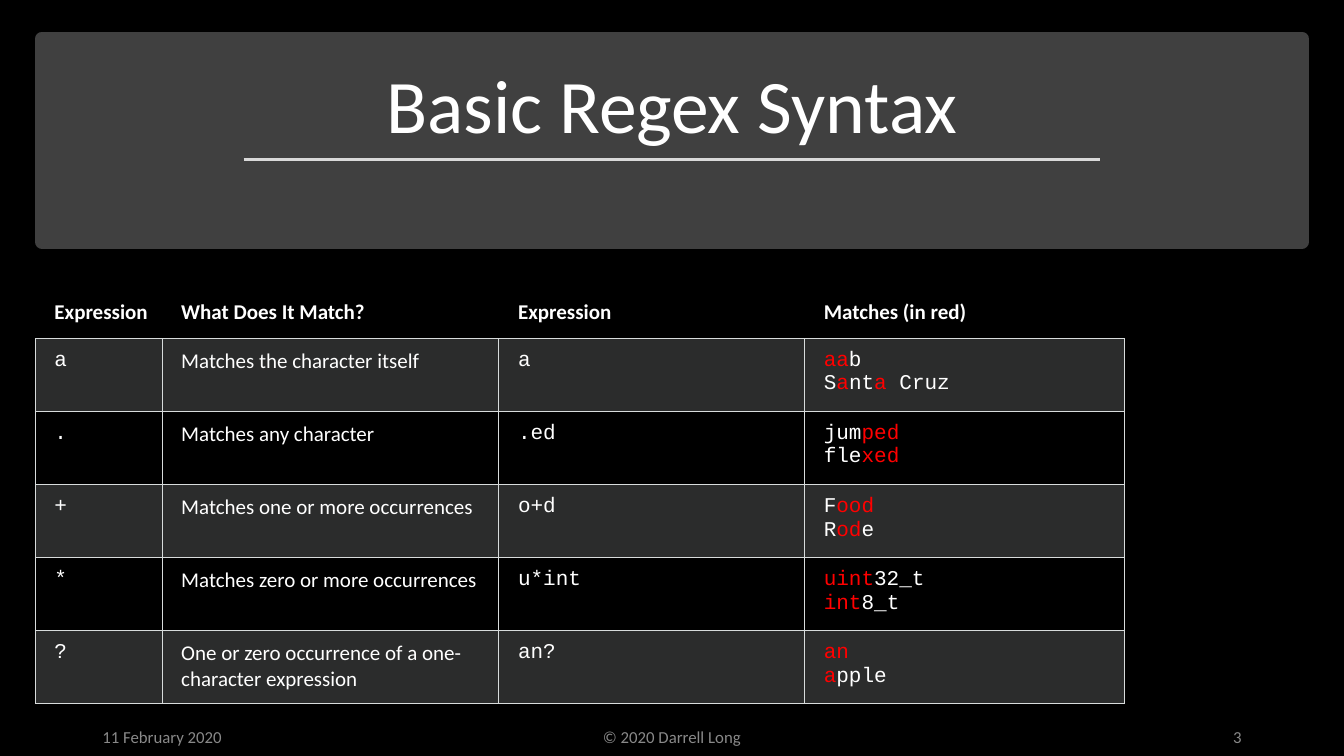
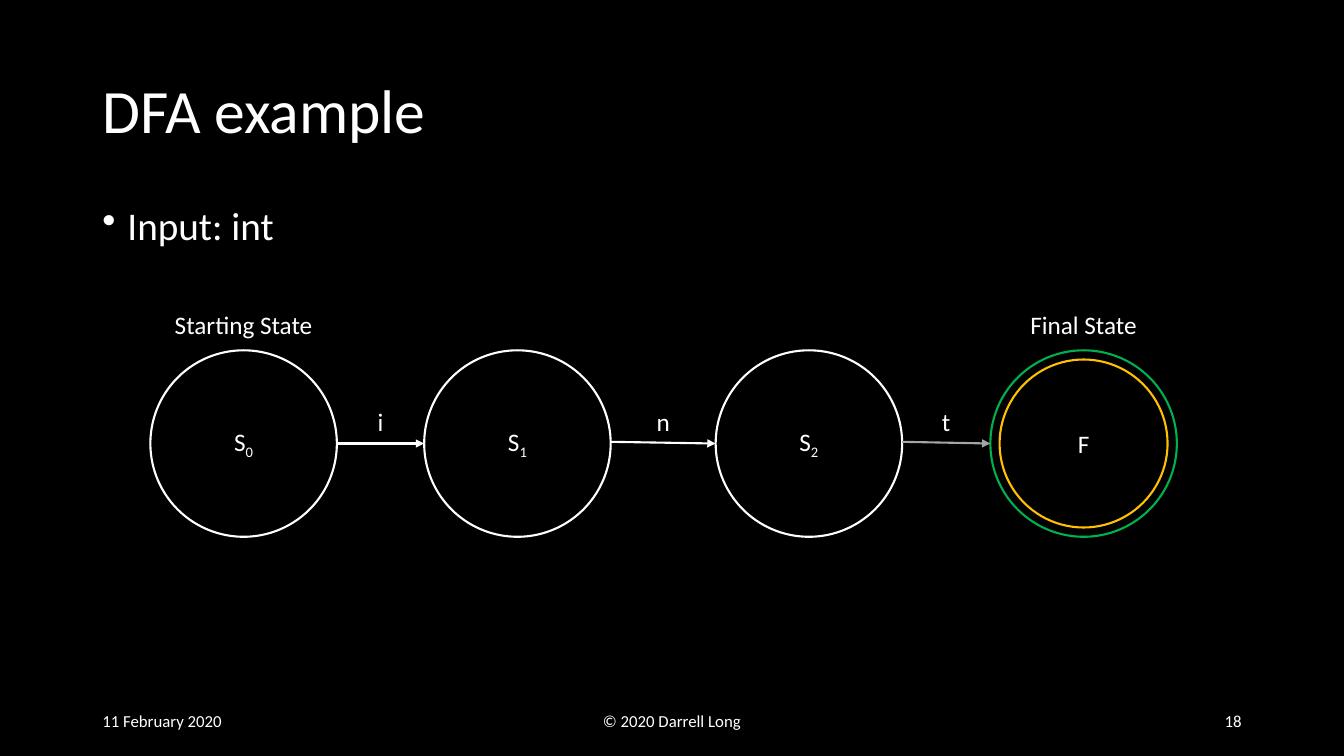
import dataclasses
import itertools

import lxml.etree
import pptx
import pptx.dml.color
import pptx.enum.shapes
import pptx.enum.text
import pptx.oxml.ns
import pptx.util

# Page grid: 160 columns by 90 rows of square units, twelve to the inch
UNITS_PER_INCH = 12
FONT, CODE_FONT = "Calibri", "Courier New"
BLACK, WHITE, RED = "000000", "FFFFFF", "FF0000"
BAND, RULE, BORDER, STRIPE = "404040", "D9D9D9", "D8DCDC", "D8DEDC"
FOOTER_GREY, ARROW_GREY = "898989", "A5A5A5"
GREEN, GOLD = "00B050", "FFC000"
LEFT = pptx.enum.text.PP_ALIGN.LEFT
CENTER = pptx.enum.text.PP_ALIGN.CENTER
RIGHT = pptx.enum.text.PP_ALIGN.RIGHT
TOP = pptx.enum.text.MSO_ANCHOR.TOP
MIDDLE = pptx.enum.text.MSO_ANCHOR.MIDDLE
BOTTOM = pptx.enum.text.MSO_ANCHOR.BOTTOM
OVAL = pptx.enum.shapes.MSO_SHAPE.OVAL
RECTANGLE = pptx.enum.shapes.MSO_SHAPE.RECTANGLE
NO_TABLE_STYLE = "{2D5ABB26-0587-4C30-8999-92F81FD0307C}"

HEADINGS = ["Expression", "What Does It Match?", "Expression", "Matches (in red)"]
# Brackets enclose the matched piece of each example
SYNTAX = [
    ("a", "Matches the character itself", "a", ["[aa]b", "S[a]nt[a] Cruz"]),
    (".", "Matches any character", ".ed", ["jum[ped]", "fle[xed]"]),
    ("+", "Matches one or more occurrences", "o+d", ["F[ood]", "R[od]e"]),
    ("*", "Matches zero or more occurrences", "u*int", ["[uint]32_t", "[int]8_t"]),
    ("?", "One or zero occurrence of a one-character expression", "an?",
     ["[an]", "[a]pple"]),
]


@dataclasses.dataclass
class Box:
    left: float
    top: float
    width: float
    height: float

    def area(self, left, top, width, height):
        return Box(self.left + left, self.top + top, width, height)

    def inset(self, gap):
        return self.area(gap, gap, self.width - 2 * gap, self.height - 2 * gap)

    def lengths(self):
        return [units(n) for n in (self.left, self.top, self.width, self.height)]

    @property
    def right(self):
        return self.left + self.width

    @property
    def center(self):
        return self.left + self.width / 2

    @property
    def middle(self):
        return self.top + self.height / 2


PAGE = Box(0, 0, 160, 90)


def units(number):
    return pptx.util.Inches(number / UNITS_PER_INCH)


def color(code):
    return pptx.dml.color.RGBColor.from_string(code)


def add_element(parent, name, **attributes):
    element = lxml.etree.SubElement(parent, pptx.oxml.ns.qn(name))
    for key, value in attributes.items():
        element.set(key, value)
    return element


def set_font(para, size, code=WHITE, name=FONT, bold=False):
    para.font.size = pptx.util.Pt(size)
    para.font.name = name
    para.font.bold = bold
    para.font.color.rgb = color(code)


def add_text(page, box, text, size, code=WHITE, align=LEFT, anchor=TOP, spacing=1):
    frame = page.shapes.add_textbox(*box.lengths()).text_frame
    frame.word_wrap = True
    frame.vertical_anchor = anchor
    para = frame.paragraphs[0]
    para.text = text
    para.alignment = align
    para.line_spacing = spacing
    set_font(para, size, code)
    return para


def add_shape(page, kind, box, fill, line, width):
    shape = page.shapes.add_shape(kind, *box.lengths())
    shape.shadow.inherit = False
    if fill:
        shape.fill.solid()
        shape.fill.fore_color.rgb = color(fill)
    else:
        shape.fill.background()
    shape.line.color.rgb = color(line)
    shape.line.width = pptx.util.Pt(width)
    return shape


def add_line(page, start, end, code, width, arrow=False):
    line = page.shapes.add_connector(
        pptx.enum.shapes.MSO_CONNECTOR.STRAIGHT, *map(units, start + end))
    line.line.color.rgb = color(code)
    line.line.width = pptx.util.Pt(width)
    properties = line._element.spPr
    if arrow:
        add_element(properties.find(pptx.oxml.ns.qn("a:ln")), "a:tailEnd",
                    type="triangle")
    add_element(properties, "a:effectLst")


def add_page(deck):
    page = deck.slides.add_slide(deck.slide_layouts[6])
    page.background.fill.solid()
    page.background.fill.fore_color.rgb = color(BLACK)
    return page


def add_footer(page, box, number, code):
    entries = [(0, 36, "11 February 2020", LEFT),
               (42, 54, "© 2020 Darrell Long", CENTER),
               (102, 36, number, RIGHT)]
    for left, width, text, align in entries:
        add_text(page, box.area(left, 0, width, box.height), text, 12, code,
                 align, MIDDLE)


def add_title_band(page, box, title):
    add_shape(page, RECTANGLE, box, BAND, BAND, 10)
    add_text(page, box.area(2, 1.6, box.width - 4, 12.2), title, 54,
             align=CENTER, anchor=BOTTOM, spacing=0.9)
    rule_row = box.top + 14.4
    add_line(page, (box.center - 51, rule_row), (box.center + 51, rule_row),
             RULE, 1.75)


def style_cell(cell, sides, striped):
    cell.margin_left = pptx.util.Inches(0.19)
    cell.margin_right = cell.margin_top = cell.margin_bottom = pptx.util.Inches(0.1)
    properties = cell._tc.get_or_add_tcPr()
    # Borders come before the fill
    for side in sides:
        border = add_element(properties, "a:ln" + side,
                             w=str(pptx.util.Pt(0.75)))
        add_element(add_element(border, "a:solidFill"), "a:srgbClr", val=BORDER)
    if striped:
        cell.fill.solid()
        cell.fill.fore_color.rgb = color(STRIPE)
        fill = properties.find(pptx.oxml.ns.qn("a:solidFill"))
        add_element(fill[0], "a:alpha", val="20000")
    else:
        cell.fill.background()


def write_matches(para, example):
    # Every second piece lies between brackets
    for index, piece in enumerate(example.replace("]", "[").split("[")):
        if piece:
            span = para.add_run()
            span.text = piece
            if index % 2:
                span.font.color.rgb = color(RED)


def add_syntax_table(page, box):
    widths = [15.1, 40.1, 36.4, 38.1]
    heights = [5.8] + [8.7] * len(SYNTAX)
    table = page.shapes.add_table(
        len(heights), len(widths), *box.lengths()).table
    table.first_row = table.horz_banding = False
    table._tbl.tblPr.find(pptx.oxml.ns.qn("a:tableStyleId")).text = NO_TABLE_STYLE
    for column, width in zip(table.columns, widths):
        column.width = units(width)
    for row, height in zip(table.rows, heights):
        row.height = units(height)
    # Heading row
    for index, heading in enumerate(HEADINGS):
        cell = table.cell(0, index)
        style_cell(cell, "B", False)
        cell.text = heading
        set_font(cell.text_frame.paragraphs[0], 15, bold=True)
    # One row for each expression
    for row, entries in enumerate(SYNTAX, 1):
        for index, entry in enumerate(entries):
            cell = table.cell(row, index)
            style_cell(cell, "LRTB", row % 2 == 1)
            lines = [entry] if isinstance(entry, str) else entry
            cell.text = "\n" * (len(lines) - 1)
            for para, line in zip(cell.text_frame.paragraphs, lines):
                set_font(para, 15, name=FONT if index == 1 else CODE_FONT)
                write_matches(para, line)


def add_bullet(page, box, text):
    para = add_text(page, box, text, 28, spacing=0.9)
    para.space_before = pptx.util.Pt(10)
    properties = para._p.get_or_add_pPr()
    indent = pptx.util.Inches(0.25)
    properties.set("marL", str(indent))
    properties.set("indent", str(-indent))
    bullet = add_element(properties, "a:buChar", char="•")
    properties.find(pptx.oxml.ns.qn("a:defRPr")).addprevious(bullet)


def add_state(page, box, name, subscript, fill, line):
    frame = add_shape(page, OVAL, box, fill, line, 1.5).text_frame
    frame.vertical_anchor = MIDDLE
    para = frame.paragraphs[0]
    para.alignment = CENTER
    set_font(para, 18)
    para.add_run().text = name
    if subscript:
        span = para.add_run()
        span.text = subscript
        span._r.get_or_add_rPr().set("baseline", "-25000")


def add_automaton(page, box):
    # States
    size = 22.2
    circles = [box.area(left, 5.5, size, size) for left in (0, 32.6, 67.3, 100)]
    states = [("S", "0", BLACK, WHITE), ("S", "1", None, WHITE),
              ("S", "2", BLACK, WHITE), ("F", "", None, GREEN)]
    for circle, state in zip(circles, states):
        add_state(page, circle, *state)
    add_shape(page, OVAL, circles[-1].inset(1.1), None, GOLD, 1.5)
    # Transitions, each labelled above its midpoint
    steps = [("i", WHITE, 0), ("n", WHITE, 0.2), ("t", ARROW_GREY, 0.2)]
    for (source, target), (letter, code, rise) in zip(
            itertools.pairwise(circles), steps):
        add_line(page, (source.right, source.middle - rise),
                 (target.left, target.middle), code, 1.5, arrow=True)
        midpoint = (source.right + target.left) / 2
        add_text(page, Box(midpoint - 3, box.top + 11.6, 6, 4.8), letter, 18,
                 align=CENTER)
    # Captions over the first and last state
    for circle, caption in ((circles[0], "Starting State"),
                            (circles[-1], "Final State")):
        add_text(page, Box(circle.center - 12, box.top, 24, 4.8), caption, 18,
                 align=CENTER)


def build_syntax_page(deck):
    page = add_page(deck)
    add_title_band(page, PAGE.area(5, 4.6, 150, 24.2), "Basic Regex Syntax")
    add_footer(page, PAGE.area(11, 85.5, 138, 4.5), "3", FOOTER_GREY)
    add_syntax_table(page, PAGE.area(4.2, 34.5, 129.7, 49.3))


def build_automaton_page(deck):
    page = add_page(deck)
    add_text(page, PAGE.area(11, 4.8, 138, 17.4), "DFA example", 44,
             anchor=MIDDLE, spacing=0.9)
    add_bullet(page, PAGE.area(11, 24, 34.3, 10.4), "Input: int")
    add_footer(page, PAGE.area(11, 83.4, 138, 4.8), "18", WHITE)
    add_automaton(page, PAGE.area(17.9, 36.2, 122.2, 27.7))


def main():
    deck = pptx.Presentation()
    deck.slide_width = units(PAGE.width)
    deck.slide_height = units(PAGE.height)
    build_syntax_page(deck)
    build_automaton_page(deck)
    deck.save("out.pptx")


if __name__ == "__main__":
    main()
